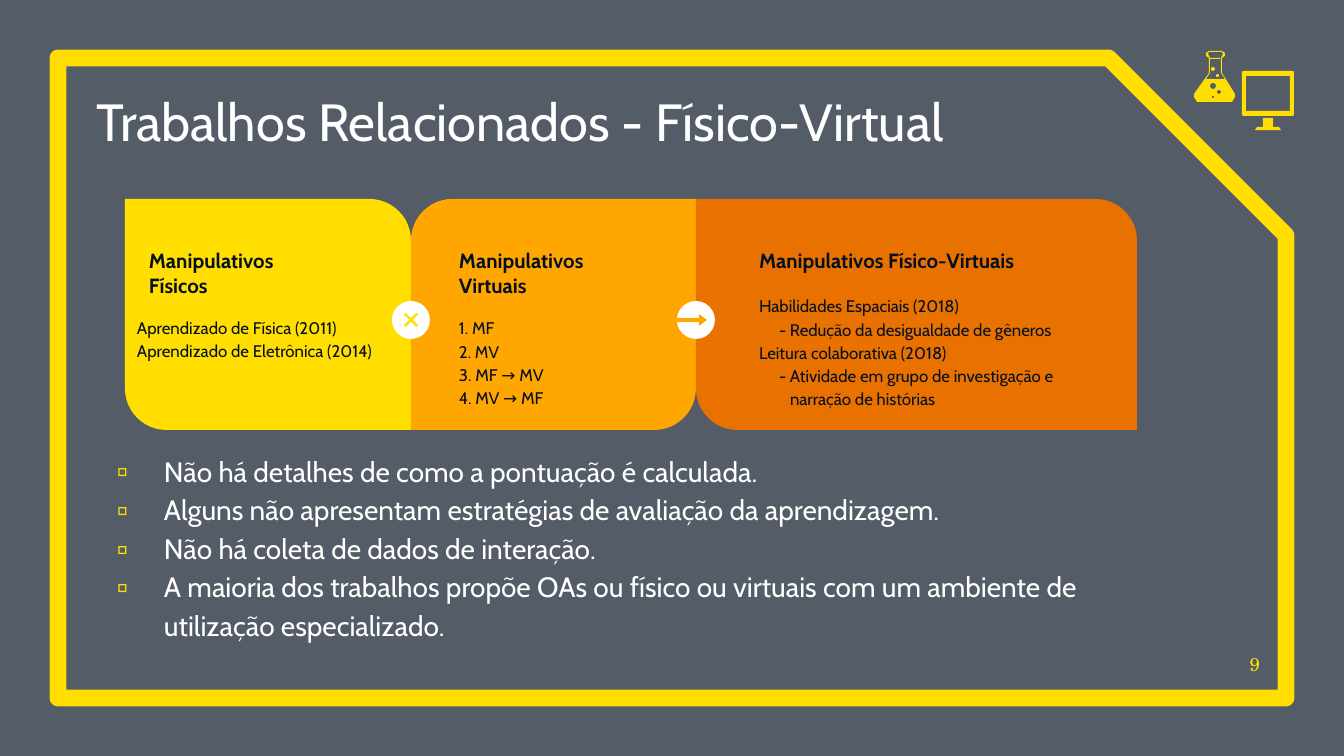
from dataclasses import dataclass
from math import cos, pi, sin

from lxml import etree
from pptx import Presentation
from pptx.dml.color import RGBColor
from pptx.enum.shapes import MSO_SHAPE
from pptx.enum.text import MSO_ANCHOR, MSO_AUTO_SIZE, PP_ALIGN
from pptx.oxml.ns import qn
from pptx.util import Pt

SNIP = MSO_SHAPE.SNIP_1_RECTANGLE
DIAGONAL = MSO_SHAPE.ROUND_2_DIAG_RECTANGLE
OVAL = MSO_SHAPE.OVAL
RECT = MSO_SHAPE.RECTANGLE
ARROW = MSO_SHAPE.RIGHT_ARROW
PLUS = MSO_SHAPE.MATH_PLUS
TOP, BOTTOM = MSO_ANCHOR.TOP, MSO_ANCHOR.BOTTOM
LEFT, RIGHT = PP_ALIGN.LEFT, PP_ALIGN.RIGHT
NO_FIT = MSO_AUTO_SIZE.NONE

SCALE = 914400 / 134.4
INSET = 13
ROUNDING = 0.18


@dataclass(frozen=True)
class Theme:
    background: str = "545C67"
    yellow: str = "FFDE00"
    amber: str = "FFA700"
    orange: str = "E97100"
    ink: str = "040F20"
    white: str = "FFFFFF"
    font: str = "Cabin"
    number_font: str = "TeX Gyre Schola"
    title: int = 28
    bullet: int = 15
    heading: int = 11
    number: int = 10
    detail: int = 9


THEME = Theme()

CARDS = [
    (0, 286, THEME.yellow, False, "Manipulativos\nFísicos", (11, 36, 214), (-1, 103, 286),
     ["Aprendizado de Física (2011)", "Aprendizado de Eletrônica (2014)"]),
    (286, 285, THEME.amber, True, "Manipulativos Virtuais", (35, 36, 214), (35, 103, 214),
     ["1. MF", "2. MV", "3. MF → MV", "4. MV → MF"]),
    (571, 441, THEME.orange, False, "Manipulativos Físico-Virtuais", (50, 36, 355), (50, 81, 386),
     ["Habilidades Espaciais (2018)", "- Redução da desigualdade de gêneros",
      "Leitura colaborativa (2018)",
      "- Atividade em grupo de investigação e\vnarração de histórias"]),
]

BULLETS = [
    "Não há detalhes de como a pontuação é calculada.",
    "Alguns não apresentam estratégias de avaliação da aprendizagem.",
    "Não há coleta de dados de interação.",
    "A maioria dos trabalhos propõe OAs ou físico ou virtuais com um ambiente de "
    "utilização especializado.",
]


def px(n):
    return round(n * SCALE)


def paint(sp, color):
    sp.shadow.inherit = False
    sp.fill.solid()
    sp.fill.fore_color.rgb = RGBColor.from_string(color)
    sp.line.fill.background()


def add_shape(s, kind, x, y, w, h, color, *adjustments):
    sp = s.shapes.add_shape(kind, px(x), px(y), px(w), px(h))
    paint(sp, color)
    for i, value in enumerate(adjustments):
        sp.adjustments[i] = value
    return sp


def add_outline(s, x, y, color, *contours):
    first, *rest = contours
    builder = s.shapes.build_freeform(*first[0], scale=SCALE)
    builder.add_line_segments(first[1:])
    for contour in rest:
        builder.move_to(*contour[0])
        builder.add_line_segments(contour[1:])
    paint(builder.convert_to_shape(px(x), px(y)), color)


def set_indent(p, margin, first_line):
    pPr = p._p.get_or_add_pPr()
    pPr.set("marL", str(px(margin)))
    pPr.set("indent", str(px(first_line)))
    return pPr


def fill_frame(tf, text, size, color, font=THEME.font, inset=0, anchor=TOP,
               align=LEFT, spacing=None, bold=False):
    tf.word_wrap = True
    tf.auto_size = NO_FIT
    tf.vertical_anchor = anchor
    tf.margin_left = tf.margin_top = tf.margin_right = tf.margin_bottom = px(inset)
    tf.text = text
    for p in tf.paragraphs:
        p.alignment = align
        p.line_spacing = spacing
        for r in p.runs:
            r.font.name = font
            r.font.size = Pt(size)
            r.font.bold = bold
            r.font.color.rgb = RGBColor.from_string(color)


def add_text(s, x, y, w, h, *args, **style):
    sp = s.shapes.add_textbox(px(x), px(y), px(w), px(h))
    fill_frame(sp.text_frame, *args, **style)
    return sp.text_frame


def add_frame(s, x, y, w, h):
    sp = add_shape(s, SNIP, x, y, w, h, THEME.yellow, 0.277)
    sp.fill.background()
    sp.line.color.rgb = RGBColor.from_string(THEME.yellow)
    sp.line.width = Pt(9)


def add_title(s, x, y, w, h, text):
    sp = s.shapes.title
    sp.left, sp.top, sp.width, sp.height = px(x), px(y), px(w), px(h)
    fill_frame(sp.text_frame, text, THEME.title, THEME.white, anchor=BOTTOM)
    rPr = sp.text_frame.paragraphs[0].runs[0].font._element
    effects = etree.Element(qn("a:effectLst"))
    shadow = etree.SubElement(effects, qn("a:outerShdw"), blurRad="38100",
                              dist="38100", dir="2700000", algn="tl")
    color = etree.SubElement(shadow, qn("a:srgbClr"), val="000000")
    etree.SubElement(color, qn("a:alpha"), val="43000")
    rPr.find(qn("a:solidFill")).addnext(effects)


def add_card(s, x, y, w, h, color, mirrored, heading, heading_box, detail_box, details):
    corners = (ROUNDING, 0) if mirrored else (0, ROUNDING)
    add_shape(s, DIAGONAL, x, y, w, h, color, *corners)
    dx, dy, width = heading_box
    add_text(s, x + dx, y + dy, width, 67, heading, THEME.heading, THEME.ink,
             inset=INSET, bold=True)
    dx, dy, width = detail_box
    tf = add_text(s, x + dx, y + dy, width, 28 + 24 * len(details), "\n".join(details),
                  THEME.detail, THEME.ink, inset=INSET, spacing=1.15)
    for p in tf.paragraphs:
        if p.text.startswith("- "):
            set_indent(p, 31, -11)


def add_cards(s, x, y, h):
    for dx, w, *content in CARDS:
        add_card(s, x + dx, y, w, h, *content)
    cross_x, arrow_x = (x + card[0] - 19 for card in CARDS[1:])
    badge_y = y + 102
    for badge_x in (cross_x, arrow_x):
        add_shape(s, OVAL, badge_x, badge_y, 38, 38, THEME.white)
    add_shape(s, PLUS, cross_x + 7, badge_y + 7, 24, 24, THEME.yellow, 0.1).rotation = 45
    add_shape(s, ARROW, arrow_x, badge_y + 13, 30, 12, THEME.amber, 0.32, 0.67)


def circle(cx, cy, radius, steps=16):
    angles = [2 * pi * i / steps for i in range(steps)]
    return [(cx + radius * cos(a), cy + radius * sin(a)) for a in angles]


def add_flask(s, x, y):
    body = [(15, 0), (12, 2), (12, 5), (15, 7), (15, 22), (0, 43), (0, 46), (3, 51),
            (38, 51), (41, 46), (41, 43), (28, 22), (28, 7), (31, 5), (31, 2), (28, 0)]
    glass = [(15, 1), (14, 3), (16, 7), (16, 22), (12, 28),
             (31, 28), (27, 22), (27, 7), (29, 3), (28, 1)]
    add_outline(s, x, y, THEME.yellow, body, glass,
                circle(19, 35, 3), circle(25, 41, 2), circle(19, 46, 1))
    add_shape(s, OVAL, x + 22, y + 23, 3, 3, THEME.yellow)
    add_shape(s, OVAL, x + 17, y + 16, 4, 4, THEME.yellow)
    add_shape(s, RECT, x + 16, y + 7, 10, 1, THEME.yellow)


def add_monitor(s, x, y):
    add_outline(s, x, y, THEME.yellow,
                [(1, 0), (51, 0), (52, 1), (52, 44), (51, 45), (1, 45), (0, 44), (0, 1)],
                [(4, 5), (48, 5), (48, 40), (4, 40)])
    add_outline(s, x, y, THEME.yellow,
                [(21, 47), (31, 47), (31, 56), (37, 56), (39, 59),
                 (13, 59), (15, 56), (21, 56)])


def add_bullets(s, x, y, w, h):
    tf = add_text(s, x, y, w, h, "\n".join(BULLETS), THEME.bullet, THEME.white, spacing=1.15)
    for p in tf.paragraphs:
        pPr = set_indent(p, 67, -47)
        color = etree.SubElement(pPr, qn("a:buClr"))
        etree.SubElement(color, qn("a:srgbClr"), val=THEME.yellow)
        etree.SubElement(pPr, qn("a:buFont"), typeface=THEME.font)
        etree.SubElement(pPr, qn("a:buChar"), char="▫")


def main():
    prs = Presentation()
    prs.slide_width, prs.slide_height = px(1344), px(756)
    s = prs.slides.add_slide(prs.slide_layouts[5])
    s.background.fill.solid()
    s.background.fill.fore_color.rgb = RGBColor.from_string(THEME.background)
    add_frame(s, 58, 58, 1228, 640)
    add_title(s, 97, 81, 1054, 71, "Trabalhos Relacionados - Físico-Virtual")
    add_cards(s, 125, 199, 231)
    add_flask(s, 1194, 51)
    add_monitor(s, 1242, 71)
    add_bullets(s, 97, 449, 1054, 212)
    add_text(s, 1224, 637, 36, 38, "9", THEME.number, THEME.yellow,
             font=THEME.number_font, anchor=BOTTOM, align=RIGHT)
    prs.save("out.pptx")


if __name__ == "__main__":
    main()
